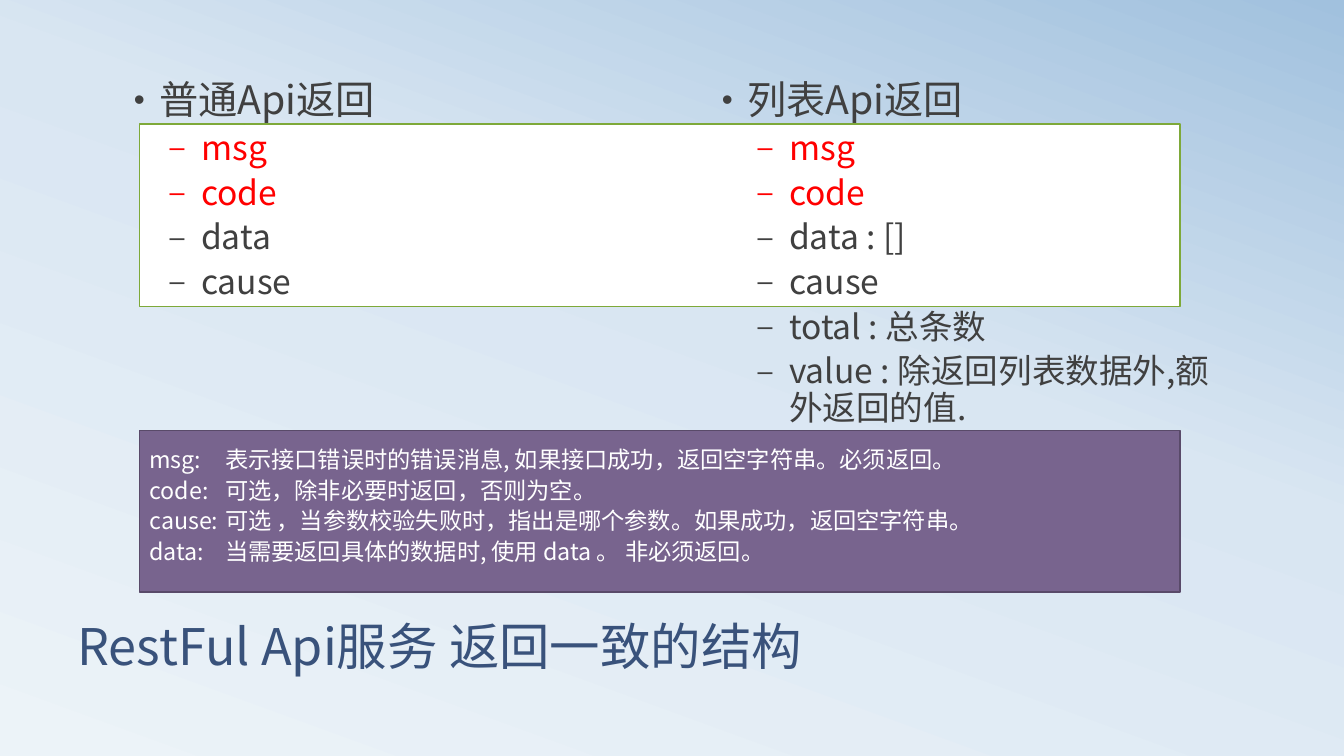
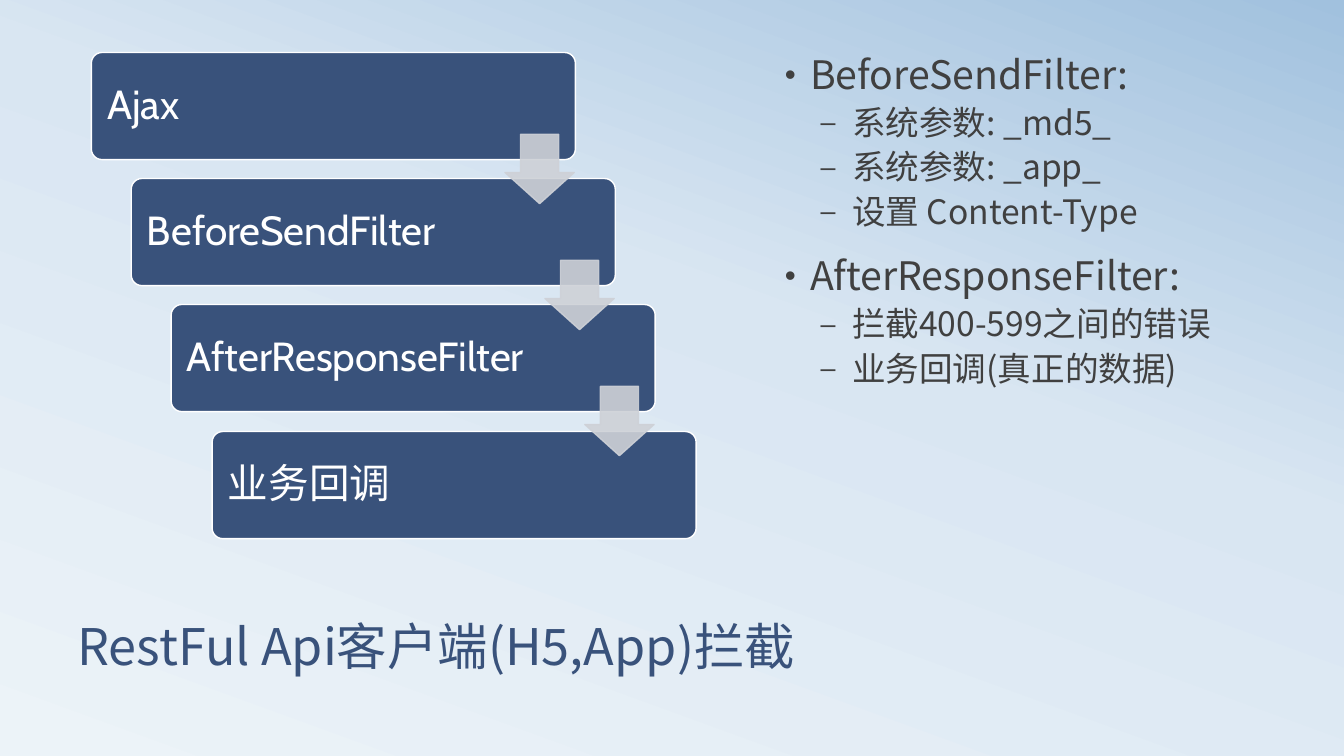
import copy

import pptx
import pptx.util
import pptx.dml.color
import pptx.enum.shapes
import pptx.enum.text
import pptx.oxml
import pptx.oxml.ns

RGB = pptx.dml.color.RGBColor
SHAPE = pptx.enum.shapes.MSO_SHAPE
ANCHOR = pptx.enum.text.MSO_ANCHOR
LEFT = pptx.enum.text.PP_ALIGN.LEFT
Pt = pptx.util.Pt

NAVY = RGB(0x39, 0x52, 0x7B)
DARK = RGB(0x40, 0x40, 0x40)
RED = RGB(0xFF, 0x00, 0x00)
WHITE = RGB(0xFF, 0xFF, 0xFF)
GREEN = RGB(0x7E, 0xA9, 0x39)
PURPLE = RGB(0x78, 0x64, 0x8E)
PLUM = RGB(0x59, 0x4A, 0x69)
SILVER = RGB(0xCE, 0xD1, 0xD7)
BACKGROUND = [(0, RGB(0xEC, 0xF3, 0xF8)), (0.58, RGB(0xD9, 0xE6, 0xF2)),
              (1, RGB(0xA1, 0xC1, 0xDE))]

CJK = "Noto Sans CJK SC"
LATIN = "Cabin"

# Content: each list item is (level, text, colour)
RETURN_TITLE = "RestFul Api服务 返回一致的结构"
PLAIN_RETURN = [(0, "普通Api返回", DARK), (1, "msg", RED), (1, "code", RED),
                (1, "data", DARK), (1, "cause", DARK)]
LIST_RETURN = [(0, "列表Api返回", DARK), (1, "msg", RED), (1, "code", RED),
               (1, "data : []", DARK), (1, "cause", DARK),
               (1, "total : 总条数", DARK),
               (1, "value : 除返回列表数据外,额外返回的值.", DARK)]
FIELD_NOTES = [
    ("msg:", "表示接口错误时的错误消息, 如果接口成功，返回空字符串。必须返回。"),
    ("code:", "可选，除非必要时返回，否则为空。"),
    ("cause:", "可选 ，当参数校验失败时，指出是哪个参数。如果成功，返回空字符串。"),
    ("data:", "当需要返回具体的数据时, 使用 data 。 非必须返回。"),
]
FILTER_TITLE = "RestFul Api客户端(H5,App)拦截"
FILTER_LIST = [(0, "BeforeSendFilter:", DARK), (1, "系统参数: _md5_", DARK),
               (1, "系统参数: _app_", DARK), (1, "设置 Content-Type", DARK),
               (0, "AfterResponseFilter:", DARK),
               (1, "拦截400-599之间的错误", DARK), (1, "业务回调(真正的数据)", DARK)]
STEPS = ["Ajax", "BeforeSendFilter", "AfterResponseFilter", "业务回调"]

# Layout in px: left, top, width, height
SLIDE_SIZE = (1280, 720)
TITLE_BOX = (64, 536, 1152, 112)
PLAIN_BOX = (118, 72, 393, 243)
LIST_BOX = (678, 72, 512, 364)
COMMON_BOX = (133, 118, 991, 174)
NOTES_BOX = (133, 410, 991, 154)
NOTES_TAB = 72
FILTER_BOX = (738, 48, 499, 521)
FIRST_STEP = (87, 50, 461, 102)
FIRST_ARROW = (481, 128, 66, 66)
STAIR_SPAN = (115, 361)

LIST_LEVELS = [
    dict(bullet="•", indent=24, hang=24, size=28, before=18),
    dict(bullet="–", indent=64, hang=30, size=24, before=6),
]


def px(n):
    return pptx.util.Emu(n * 9525)


def add_xml(parent, tag, **attrs):
    el = pptx.oxml.parse_xml(f"<a:{tag} {pptx.oxml.ns.nsdecls('a')}/>")
    for name, value in attrs.items():
        el.set(name, str(value))
    parent.append(el)
    return el


def place(sp, box):
    for name, n in zip(("left", "top", "width", "height"), box):
        setattr(sp, name, px(n))


def set_frame(tf, **values):
    values = dict(word_wrap=True, auto_size=pptx.enum.text.MSO_AUTO_SIZE.NONE) | values
    for name, value in values.items():
        setattr(tf, name, value)


def write(p, text, size, color, font=CJK, **paragraph):
    for name, value in (dict(alignment=LEFT) | paragraph).items():
        setattr(p, name, value)
    r = p.add_run()
    r.text = text
    for name, value in dict(size=Pt(size), name=font, bold=False).items():
        setattr(r.font, name, value)
    r.font.color.rgb = color
    add_xml(r._r.get_or_add_rPr(), "ea", typeface=CJK)


def paragraphs(tf, items):
    """Pair each item with a paragraph of the frame, adding those missing."""
    for i, item in enumerate(items):
        yield (tf.add_paragraph() if i else tf.paragraphs[0]), item


def fill_list(sp, box, items):
    place(sp, box)
    set_frame(sp.text_frame, vertical_anchor=ANCHOR.TOP)
    for p, (level, text, color) in paragraphs(sp.text_frame, items):
        style = LIST_LEVELS[level]
        write(p, text, style["size"], color, level=level, line_spacing=0.9,
              space_before=Pt(style["before"]))
        pPr = p._p.get_or_add_pPr()
        pPr.set("marL", str(px(style["indent"])))
        pPr.set("indent", str(px(-style["hang"])))
        add_xml(pPr, "buSzPct", val=80000)
        add_xml(pPr, "buFont", typeface="Arial")
        add_xml(pPr, "buChar", char=style["bullet"])


def add_box(slide, kind, box, fill, line, adjustments=()):
    sp = slide.shapes.add_shape(kind, *map(px, box))
    sp.shadow.inherit = False
    sp.fill.solid()
    sp.fill.fore_color.rgb = fill
    sp.line.color.rgb = line
    sp.line.width = Pt(1)
    for i, value in enumerate(adjustments):
        sp.adjustments[i] = value
    return sp


def set_master(prs):
    master = prs.slide_master
    fill = master.background.fill
    fill.gradient()
    fill.gradient_angle = 70
    stops = master._element.find(".//" + pptx.oxml.ns.qn("a:gsLst"))
    stops.append(copy.deepcopy(stops[-1]))
    for stop, (position, color) in zip(fill.gradient_stops, BACKGROUND):
        stop.position = position
        stop.color.rgb = color
    for sp in master.placeholders:
        if sp.placeholder_format.type == pptx.enum.shapes.PP_PLACEHOLDER.TITLE:
            place(sp, TITLE_BOX)
            set_frame(sp.text_frame, vertical_anchor=ANCHOR.BOTTOM)


def add_slide(prs, layout, title):
    slide = prs.slides.add_slide(prs.slide_layouts.get_by_name(layout))
    write(slide.shapes.title.text_frame.paragraphs[0], title, 36, NAVY, line_spacing=0.8)
    return slide


def build_return_slide(prs):
    slide = add_slide(prs, "Two Content", RETURN_TITLE)
    fill_list(slide.placeholders[1], PLAIN_BOX, PLAIN_RETURN)
    fill_list(slide.placeholders[2], LIST_BOX, LIST_RETURN)
    common = add_box(slide, SHAPE.RECTANGLE, COMMON_BOX, WHITE, GREEN)
    slide.shapes._spTree.insert(2, common._element)  # behind the lists

    notes = add_box(slide, SHAPE.RECTANGLE, NOTES_BOX, PURPLE, PLUM)
    set_frame(notes.text_frame, vertical_anchor=ANCHOR.TOP,
              margin_top=px(19), margin_bottom=px(19))
    for p, (field, note) in paragraphs(notes.text_frame, FIELD_NOTES):
        write(p, f"{field}\t{note}", 16.6, WHITE, line_spacing=0.8, space_before=Pt(6))
        tabs = add_xml(p._p.get_or_add_pPr(), "tabLst")
        add_xml(tabs, "tab", pos=px(NOTES_TAB), algn="l")


def stair(box, i):
    """Shift a box down and right by i steps of the staircase."""
    dx, dy = (span * i // (len(STEPS) - 1) for span in STAIR_SPAN)
    return (box[0] + dx, box[1] + dy, *box[2:])


def build_filter_slide(prs):
    slide = add_slide(prs, "Title and Content", FILTER_TITLE)
    fill_list(slide.placeholders[1], FILTER_BOX, FILTER_LIST)
    for i, text in enumerate(STEPS):
        sp = add_box(slide, SHAPE.ROUNDED_RECTANGLE, stair(FIRST_STEP, i),
                     NAVY, WHITE, [0.1])
        set_frame(sp.text_frame, vertical_anchor=ANCHOR.MIDDLE, margin_left=px(12))
        write(sp.text_frame.paragraphs[0], text, 29, WHITE, LATIN, line_spacing=0.9)
    for i in range(len(STEPS) - 1):
        sp = add_box(slide, SHAPE.DOWN_ARROW, stair(FIRST_ARROW, i),
                     SILVER, SILVER, [0.55, 0.45])
        for color in sp._element.spPr.iter(pptx.oxml.ns.qn("a:srgbClr")):
            add_xml(color, "alpha", val=90000)


def main():
    prs = pptx.Presentation()
    prs.slide_width, prs.slide_height = map(px, SLIDE_SIZE)
    set_master(prs)
    build_return_slide(prs)
    build_filter_slide(prs)
    prs.save("out.pptx")


if __name__ == "__main__":
    main()
